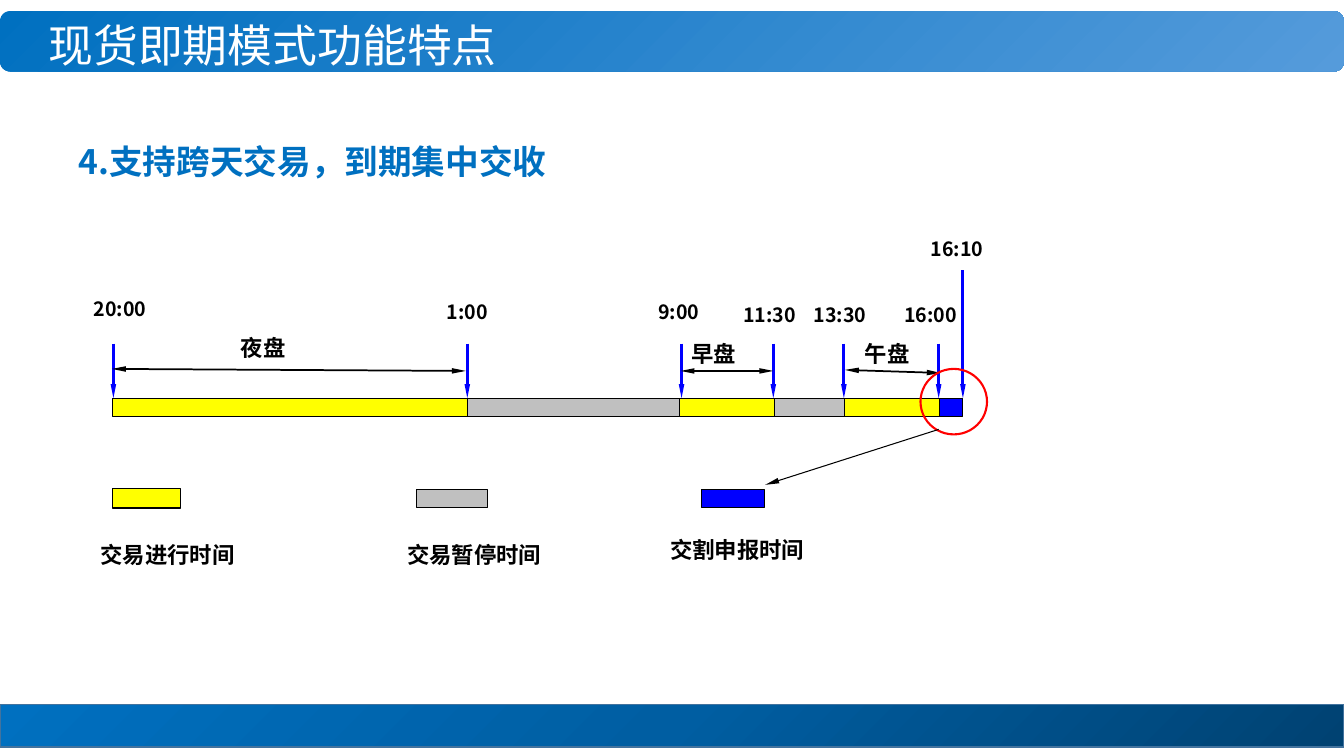
"""Build the slide on overnight trading sessions and central settlement."""
from pptx import Presentation
from pptx import util as u
from pptx.dml.color import RGBColor
from pptx.enum import shapes, text
from pptx.oxml import parse_xml
from pptx.oxml.ns import qn, nsdecls

FONT = "Noto Sans CJK SC"
BLUE = RGBColor(0x00, 0x70, 0xC0)
SKY = RGBColor(0x55, 0x9B, 0xDB)
MID = RGBColor(0x00, 0x5E, 0xA2)
NAVY = RGBColor(0x00, 0x42, 0x72)
EDGE = RGBColor(0x43, 0x73, 0x9E)
YELLOW = RGBColor(0xFF, 0xFF, 0x00)
GREY = RGBColor(0xC0, 0xC0, 0xC0)
PURE = RGBColor(0x00, 0x00, 0xFF)
RED = RGBColor(0xFF, 0x00, 0x00)
BLACK = RGBColor(0x00, 0x00, 0x00)
WHITE = RGBColor(0xFF, 0xFF, 0xFF)

KIND = shapes.MSO_SHAPE
WIDE = 133.3
BAR = 39.5
EDGES = [11.2, 46.4, 67.4, 76.8, 83.8, 93.2, 95.5]
FILLS = [YELLOW, GREY, YELLOW, GREY, YELLOW, PURE]
TIMES = [
    ("20:00", 11.25, 34.1, 6.8, 29.5, 10.3),
    ("1:00", 46.35, 34.1, 41.8, 29.8, 8.4),
    ("9:00", 67.6, 34.1, 62.8, 29.8, 8.2),
    ("11:30", 76.7, 34.1, 71.2, 30.1, 8.2),
    ("13:30", 83.7, 34.1, 78.2, 30.1, 8.2),
    ("16:00", 93.1, 34.1, 87.2, 30.1, 8.2),
    ("16:10", 95.5, 26.8, 89.8, 23.5, 9.6),
]
SPANS = [
    ("夜盘", (11.1, 36.6, 46.2, 36.8), (20.4, 32.7, 14.4, 3.8)),
    ("早盘", (67.5, 36.8, 76.7, 36.8), (65.1, 33.2, 14.4, 3.8)),
    ("午盘", (83.8, 36.7, 93.3, 37), (82.3, 33.3, 11.6, 3.8)),
]
KEYS = [
    ("交易进行时间", YELLOW, (11.2, 48.5, 6.7, 1.9), (6.5, 53.2)),
    ("交易暂停时间", GREY, (41.3, 48.6, 7.1, 1.8), (36.9, 53.2)),
    ("交割申报时间", PURE, (69.6, 48.6, 6.2, 1.8), (63, 52.7)),
]


def grid(*cells):
    """Turn columns and rows of a tenth of an inch into lengths."""
    return [u.Inches(cell / 10) for cell in cells]


def apply(item, form):
    """Set each attribute named in a dict of format values."""
    for name, value in form.items():
        setattr(item, name, value)


def block(slide, kind, at, fill=None, line=None, width=0.75):
    """Add a flat preset shape with an optional fill and outline."""
    shape = slide.shapes.add_shape(kind, *grid(*at))
    shape.shadow.inherit = False
    if fill is None:
        shape.fill.background()
    else:
        shape.fill.solid()
        shape.fill.fore_color.rgb = fill
    if line is None:
        shape.line.fill.background()
    else:
        shape.line.color.rgb = line
        shape.line.width = u.Pt(width)
    return shape


def blend(shape, stops, tail):
    """Replace a solid fill by a gradient of stops in percent."""
    marks = "".join(
        f'<a:gs pos="{pos * 1000}"><a:srgbClr val="{color}"/></a:gs>'
        for pos, color in stops)
    old = shape._element.spPr.find(qn("a:solidFill"))
    old.getparent().replace(old, parse_xml(
        f'<a:gradFill {nsdecls("a")} rotWithShape="1">'
        f'<a:gsLst>{marks}</a:gsLst>{tail}</a:gradFill>'))


def arrow(slide, ends, color, width, both=False):
    """Add a straight arrow with one or two slim heads."""
    line = slide.shapes.add_connector(
        shapes.MSO_CONNECTOR.STRAIGHT, *grid(*ends))
    line.line.color.rgb = color
    line.line.width = u.Pt(width)
    for tag in ["headEnd", "tailEnd"] if both else ["tailEnd"]:
        line.line._get_or_add_ln().append(parse_xml(
            f'<a:{tag} {nsdecls("a")} type="triangle" w="sm" len="lg"/>'))
    line._element.spPr.append(parse_xml(f'<a:effectLst {nsdecls("a")}/>'))


def write(frame, words, size, color, bold, form, para, hang=(0, 0)):
    """Fill a text frame with one formatted paragraph."""
    apply(frame, {"word_wrap": True, "auto_size": text.MSO_AUTO_SIZE.NONE})
    apply(frame, form)
    line = frame.paragraphs[0]
    props = line._p.get_or_add_pPr()
    for name, cell in zip(("marL", "indent"), hang):
        props.set(name, str(u.Inches(cell)))
    apply(line, {"space_before": u.Pt(0)} | para)
    props.append(parse_xml(f'<a:buNone {nsdecls("a")}/>'))
    run = line.add_run()
    run.text = words
    apply(run.font, {"size": u.Pt(size), "bold": bold, "name": FONT})
    run.font.color.rgb = color
    run.font._element.append(
        parse_xml(f'<a:ea {nsdecls("a")} typeface="{FONT}"/>'))


def label(slide, words, at, size, pad=None):
    """Add a bold black label with a hanging indent."""
    box = slide.shapes.add_textbox(*grid(*at))
    sides = ("left", "top", "right", "bottom")
    form = {} if pad is None else {f"margin_{side}": pad for side in sides}
    para = {"alignment": text.PP_ALIGN.JUSTIFY, "space_after": u.Pt(3.4)}
    write(box.text_frame, words, size, BLACK, True, form, para, (0.5, -0.25))


def holder(slide, shape, at):
    """Place a placeholder on the grid, in front of the shapes so far."""
    apply(shape, dict(zip(("left", "top", "width", "height"), grid(*at))))
    slide.shapes._spTree.append(shape._element)
    return shape.text_frame


def frame(slide):
    """Draw the banner, footer, title and heading."""
    top = block(slide, KIND.ROUNDED_RECTANGLE, (0, 1.1, WIDE, 6), BLUE)
    blend(top, [(0, BLUE), (100, SKY)], '<a:lin ang="2700000" scaled="1"/>')
    base = block(slide, KIND.RECTANGLE, (0, 69.9, WIDE, 4.2), BLUE, EDGE, 1)
    blend(base, [(0, NAVY), (50, MID), (100, BLUE)],
          '<a:path path="circle"><a:fillToRect l="100000" t="100000"/></a:path>')
    title, body = slide.placeholders
    write(holder(slide, title, (3.4, 0.6, 94.3, 7.6)),
          "现货即期模式功能特点", 32, WHITE, False,
          {"vertical_anchor": text.MSO_ANCHOR.MIDDLE,
           "margin_left": u.Inches(0.14), "margin_right": u.Inches(0.14),
           "margin_top": 0, "margin_bottom": 0},
          {"alignment": text.PP_ALIGN.LEFT})
    write(holder(slide, body, (6.8, 11.1, 110.9, 55.8)),
          "4.支持跨天交易，到期集中交收", 24, BLUE, True,
          {"vertical_anchor": text.MSO_ANCHOR.TOP}, {"line_spacing": 1.6})


def chart(slide):
    """Draw the time bar with its ticks, sessions and closing mark."""
    for left, right, fill in zip(EDGES, EDGES[1:], FILLS):
        block(slide, KIND.RECTANGLE, (left, BAR, right - left, 1.8), fill, BLACK)
    for words, tick, top, left, row, width in TIMES:
        arrow(slide, (tick, top, tick, BAR), PURE, 2)
        label(slide, words, (left, row, width, 3.6), 14, 0)
    for words, ends, at in SPANS:
        arrow(slide, ends, BLACK, 1.25, True)
        label(slide, words, at, 16)
    block(slide, KIND.OVAL, (91.3, 36.6, 6.6, 6.5), None, RED, 1.5)
    arrow(slide, (93.1, 42.6, 75.9, 48.1), BLACK, 0.75)


def legend(slide):
    """Draw the colour keys with their captions."""
    for words, fill, at, spot in KEYS:
        block(slide, KIND.RECTANGLE, at, fill, BLACK)
        label(slide, words, (*spot, 21.2, 5.5), 16)


def main():
    """Build and save the slide."""
    deck = Presentation()
    deck.slide_width, deck.slide_height = grid(WIDE, 75)
    slide = deck.slides.add_slide(deck.slide_layouts[1])
    frame(slide)
    chart(slide)
    legend(slide)
    deck.save("out.pptx")


if __name__ == "__main__":
    main()
